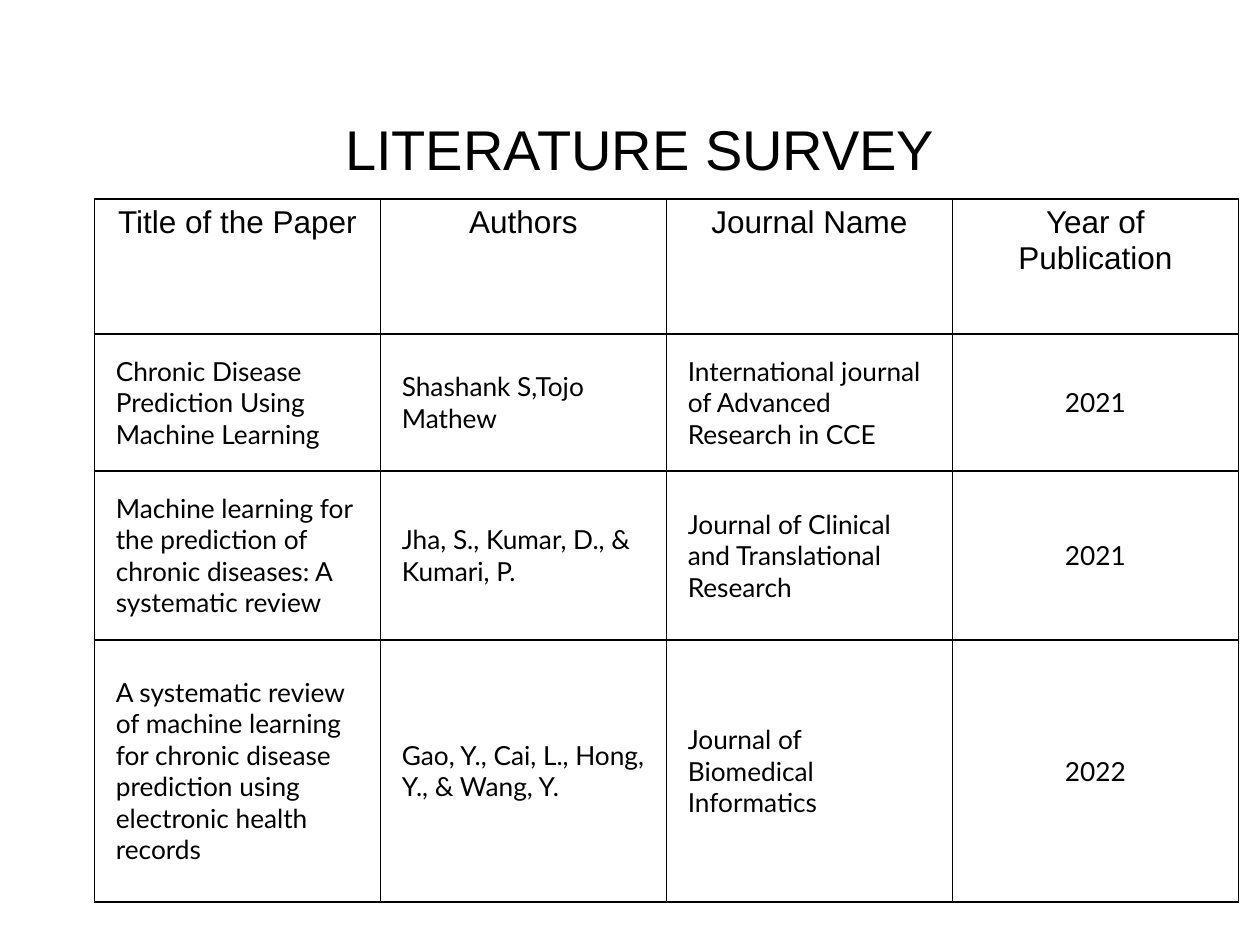
from typing import NamedTuple

from lxml.etree import SubElement
from pptx import Presentation
from pptx.dml.color import RGBColor
from pptx.enum.text import MSO_ANCHOR, MSO_AUTO_SIZE, PP_ALIGN
from pptx.oxml.ns import qn
from pptx.util import Inches, Pt

COLORS = {"text": "000000", "border": "000000", "background": "FFFFFF"}
HEADINGS = ("Title of the Paper", "Authors", "Journal Name", "Year of Publication")
ROW_HEIGHTS = (1.07, 1.08, 1.34, 2.08)
COLUMN_WIDTH = 2.27
BODY_INSET = 0.17


class Paper(NamedTuple):
    title: str
    authors: str
    journal: str
    year: str


class TextStyle(NamedTuple):
    font: str
    size: int


TITLE_STYLE = TextStyle("Arial", 32)
HEADING_STYLE = TextStyle("Arial", 18)
BODY_STYLE = TextStyle("Lato", 15)

PAPERS = (
    Paper("Chronic Disease Prediction Using Machine Learning",
          "Shashank S,Tojo Mathew",
          "International journal of Advanced Research in CCE", "2021"),
    Paper("Machine learning for the prediction of chronic diseases: A systematic review",
          "Jha, S., Kumar, D., & Kumari, P.",
          "Journal of Clinical and Translational Research", "2021"),
    Paper("A systematic review of machine learning for chronic disease prediction "
          "using electronic health records",
          "Gao, Y., Cai, L., Hong, Y., & Wang, Y.",
          "Journal of Biomedical Informatics", "2022"),
)


def write_text(frame, text: str, style: TextStyle, align: PP_ALIGN) -> None:
    frame.text = text
    paragraph = frame.paragraphs[0]
    paragraph.alignment = align
    font = paragraph.runs[0].font
    font.name, font.size, font.bold = style.font, Pt(style.size), False
    font.color.rgb = RGBColor.from_string(COLORS["text"])


def add_borders(cell) -> None:
    properties = cell._tc.get_or_add_tcPr()
    for side in ("lnL", "lnR", "lnT", "lnB"):
        line = SubElement(properties, qn(f"a:{side}"), w=str(Pt(1)))
        fill = SubElement(line, qn("a:solidFill"))
        SubElement(fill, qn("a:srgbClr"), val=COLORS["border"])


def add_title(slide) -> None:
    title = slide.shapes.title
    title.left, title.top = Inches(0.58), Inches(0.19)
    title.width, title.height = Inches(9), Inches(1.25)
    frame = title.text_frame
    frame.auto_size = MSO_AUTO_SIZE.NONE
    frame.vertical_anchor = MSO_ANCHOR.BOTTOM
    frame.margin_left = frame.margin_right = frame.margin_bottom = 0
    frame.margin_top = Inches(0.05)
    write_text(frame, "LITERATURE SURVEY", TITLE_STYLE, PP_ALIGN.CENTER)


def format_body_cell(cell) -> None:
    cell.vertical_anchor = MSO_ANCHOR.MIDDLE
    cell.margin_left = cell.margin_right = Inches(BODY_INSET)
    cell.margin_top = cell.margin_bottom = Inches(BODY_INSET)


def add_survey_table(slide) -> None:
    survey = slide.shapes.add_table(
        len(ROW_HEIGHTS), len(HEADINGS), Inches(0.75), Inches(1.58),
        Inches(COLUMN_WIDTH * len(HEADINGS)), Inches(sum(ROW_HEIGHTS))).table
    survey.first_row = survey.horz_banding = False
    for column in survey.columns:
        column.width = Inches(COLUMN_WIDTH)
    for row, height in zip(survey.rows, ROW_HEIGHTS):
        row.height = Inches(height)

    for row_index, entries in enumerate((HEADINGS, *PAPERS)):
        is_heading = row_index == 0
        style = HEADING_STYLE if is_heading else BODY_STYLE
        for column_index, entry in enumerate(entries):
            cell = survey.cell(row_index, column_index)
            centred = is_heading or column_index == len(HEADINGS) - 1
            align = PP_ALIGN.CENTER if centred else PP_ALIGN.LEFT
            write_text(cell.text_frame, entry, style, align)
            if not is_heading:
                format_body_cell(cell)
            add_borders(cell)
            cell.fill.background()


def main() -> None:
    presentation = Presentation()
    presentation.slide_width, presentation.slide_height = Inches(10), Inches(7.5)
    slide = presentation.slides.add_slide(presentation.slide_layouts[5])
    background = slide.background.fill
    background.solid()
    background.fore_color.rgb = RGBColor.from_string(COLORS["background"])
    add_title(slide)
    add_survey_table(slide)
    presentation.save("out.pptx")


if __name__ == "__main__":
    main()
